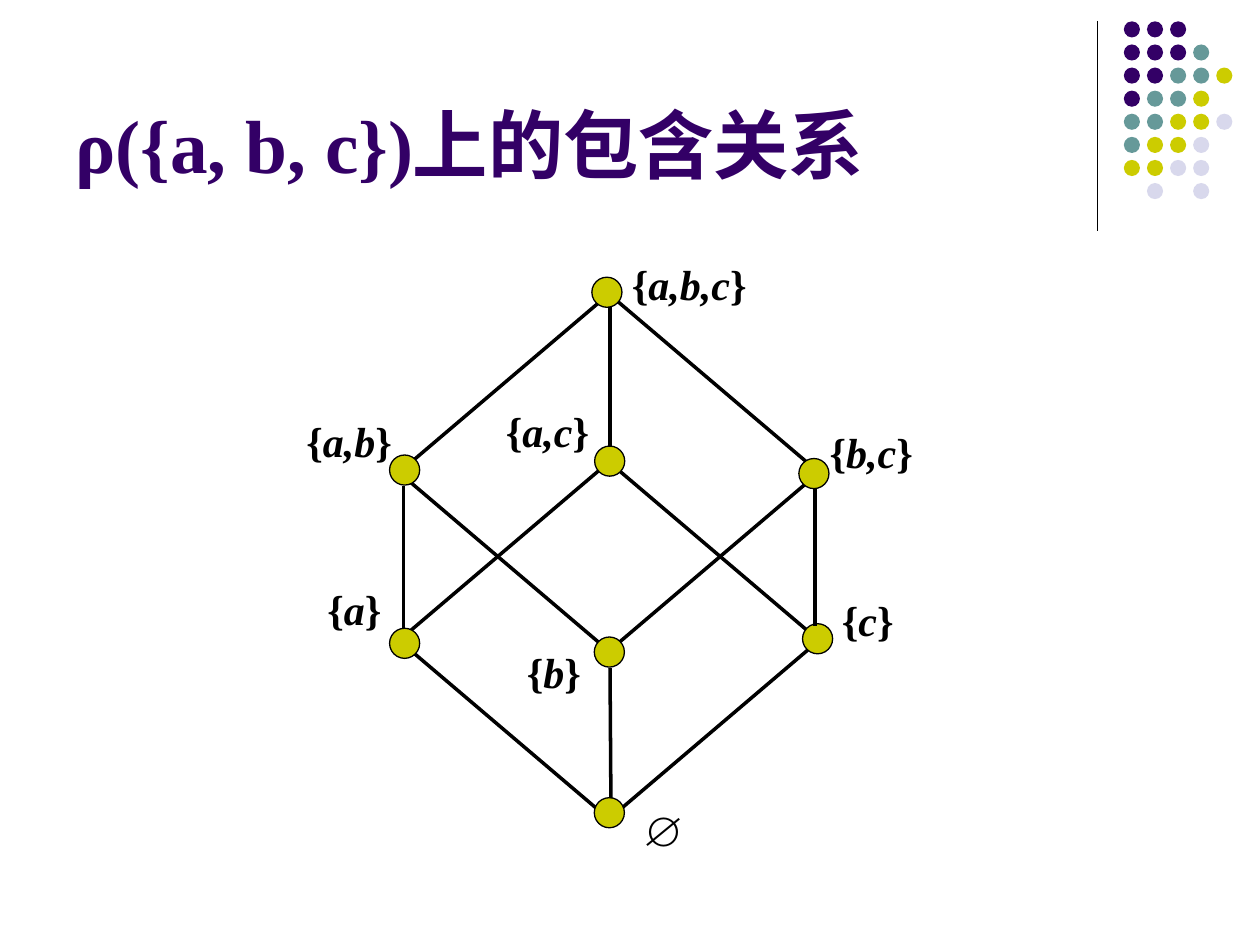
from lxml import etree
from pptx import Presentation
from pptx.dml import color
from pptx.enum import shapes, text
from pptx.oxml import ns
from pptx.util import Pt


def rgb(value):
    return color.RGBColor.from_string(value)


def add_text(content, left, top, width, height, size=24, fill="000000", anchor=text.MSO_ANCHOR.TOP):
    tf = s.shapes.add_textbox(Pt(left), Pt(top), Pt(width), Pt(height)).text_frame
    tf.word_wrap = True
    tf.vertical_anchor = anchor
    p = tf.paragraphs[0]
    for i, part in enumerate(content.split("|")):
        r = p.add_run()
        r.text = part
        r.font.name = "Times New Roman"
        r.font.size = Pt(size)
        r.font.bold = True
        r.font.italic = i % 2 == 1
        r.font.color.rgb = rgb(fill)


prs = Presentation()
prs.slide_width, prs.slide_height = Pt(720), Pt(540)
s = prs.slides.add_slide(prs.slide_layouts[6])

palette = {"P": "330066", "T": "669999", "Y": "CCCC00", "L": "D8D8EC"}
dot_rows = ["PPP", "PPPT", "PPTTY", "PTTY", "TTYYL", "TYYL", "YYLL", " L L"]
outlines = []
for row, codes in enumerate(dot_rows):
    for col, code in enumerate(codes):
        if code in palette:
            box = (642.2 + 13.2 * col, 12.2 + 13.2 * row, 9.2, 9.2)
            outlines.append((shapes.MSO_SHAPE.OVAL, box, palette[code], 0))

for top in (168, 264):
    outlines.append((shapes.MSO_SHAPE.DIAMOND, (228, top, 240, 204), None, 2))

nodes = [
    (339.6, 455.8), (458.6, 356.4), (339.6, 364), (222.6, 359),
    (456.5, 262), (339.8, 254.9), (222.6, 260), (338.2, 158.4),
]
for left, top in nodes:
    outlines.append((shapes.MSO_SHAPE.OVAL, (left, top, 17.2, 17.2), "CCCC00", 0.75))

for kind, box, fill, weight in outlines:
    sp = s.shapes.add_shape(kind, *map(Pt, box))
    sp.shadow.inherit = False
    if fill:
        sp.fill.solid()
        sp.fill.fore_color.rgb = rgb(fill)
    else:
        sp.fill.background()
    if weight:
        sp.line.color.rgb = rgb("000000")
        sp.line.width = Pt(weight)
    else:
        sp.line.fill.background()

lines = [
    (627, 12, 627, 132, 0.75),
    (230.5, 278, 230.5, 358.8, 2),
    (465.8, 279.2, 465.8, 358, 2),
    (348.6, 381.6, 349.1, 456, 2),
    (348.6, 175.6, 348.6, 255.4, 2),
]
for x1, y1, x2, y2, weight in lines:
    line = s.shapes.add_connector(shapes.MSO_CONNECTOR.STRAIGHT, Pt(x1), Pt(y1), Pt(x2), Pt(y2))
    line.line.color.rgb = rgb("000000")
    line.line.width = Pt(weight)
    etree.SubElement(line._element.spPr, ns.qn("a:effectLst"))

labels = [
    ("{|a,b,c|}", 354, 144), ("∅", 360, 456), ("{|c|}", 474, 336), ("{|b|}", 294, 366),
    ("{|a|}", 180, 330), ("{|b,c|}", 467, 240), ("{|a,c|}", 282, 228), ("{|a,b|}", 168, 234),
]
for label, left, top in labels:
    add_text(label, left, top, 84, 36)

add_text("ρ({a, b, c})上的包含关系", 36, 9.4, 594, 102, size=43, fill="330066",
         anchor=text.MSO_ANCHOR.BOTTOM)

prs.save("out.pptx")
